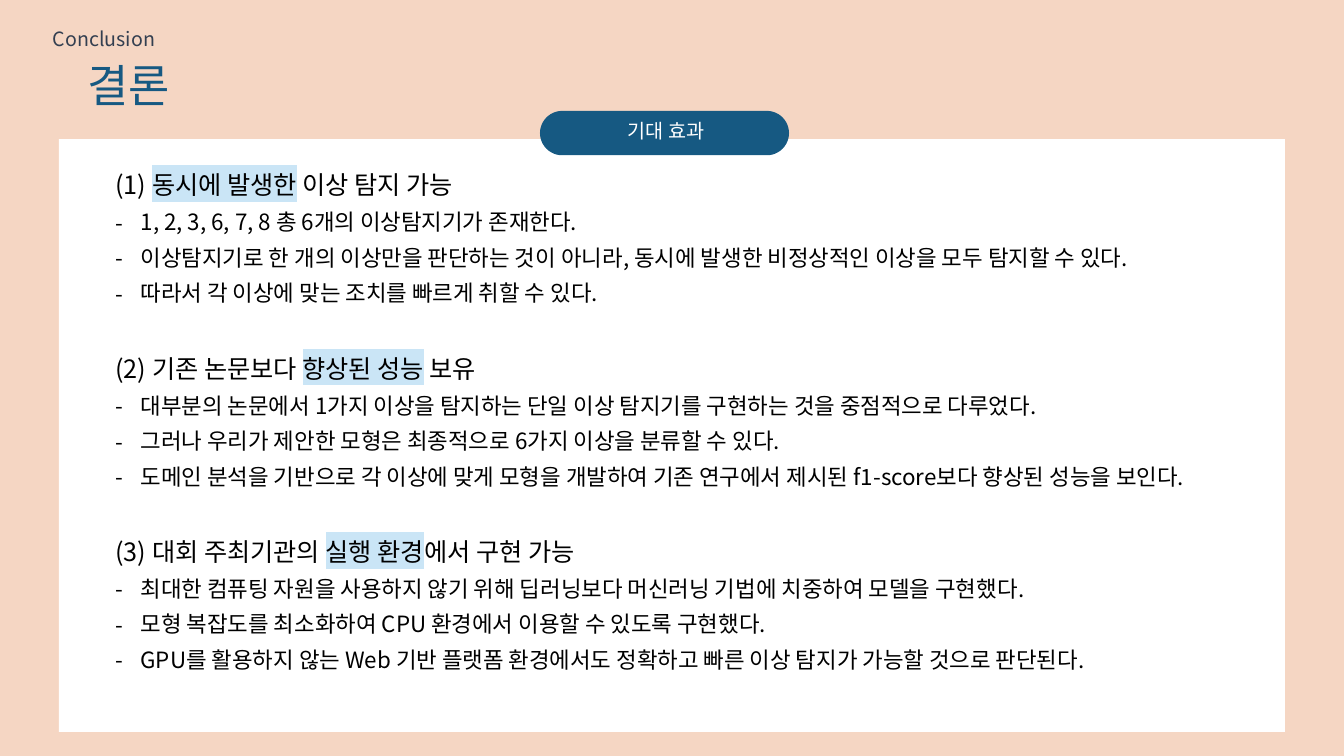
"""Build the conclusion slide with its three expected effects."""
from lxml.etree import SubElement
from pptx import Presentation
from pptx.dml.color import RGBColor
from pptx.enum.shapes import MSO_SHAPE
from pptx.enum.text import MSO_ANCHOR, MSO_AUTO_SIZE, PP_ALIGN
from pptx.oxml.ns import qn
from pptx.util import Inches, Pt

FONT = "Noto Sans CJK KR"
PEACH = RGBColor(0xF5, 0xD6, 0xC3)
WHITE = RGBColor(0xFF, 0xFF, 0xFF)
BLACK = RGBColor(0, 0, 0)
NAVY = RGBColor(0x16, 0x59, 0x82)
SLATE = RGBColor(0x33, 0x3F, 0x50)
SKY = RGBColor(0xCA, 0xE5, 0xF6)

TITLE = "결론"
SECTION = "Conclusion"
CAPTION = "기대 효과"
EFFECTS = [
    (("(1) ", "동시에 발생한", " 이상 탐지 가능"), [
        "1, 2, 3, 6, 7, 8 총 6개의 이상탐지기가 존재한다.",
        "이상탐지기로 한 개의 이상만을 판단하는 것이 아니라, 동시에 발생한 비정상적인 이상을 모두 탐지할 수 있다.",
        "따라서 각 이상에 맞는 조치를 빠르게 취할 수 있다.",
    ]),
    (("(2) 기존 논문보다 ", "향상된 성능", " 보유"), [
        "대부분의 논문에서 1가지 이상을 탐지하는 단일 이상 탐지기를 구현하는 것을 중점적으로 다루었다.",
        "그러나 우리가 제안한 모형은 최종적으로 6가지 이상을 분류할 수 있다.",
        "도메인 분석을 기반으로 각 이상에 맞게 모형을 개발하여 기존 연구에서 제시된 f1-score보다 향상된 성능을 보인다.",
    ]),
    (("(3) 대회 주최기관의 ", "실행 환경", "에서 구현 가능"), [
        "최대한 컴퓨팅 자원을 사용하지 않기 위해 딥러닝보다 머신러닝 기법에 치중하여 모델을 구현했다.",
        "모형 복잡도를 최소화하여 CPU 환경에서 이용할 수 있도록 구현했다.",
        "GPU를 활용하지 않는 Web 기반 플랫폼 환경에서도 정확하고 빠른 이상 탐지가 가능할 것으로 판단된다.",
    ]),
]

PLACES = {
    "backdrop": (0, 0, 100, 100),
    "panel": (4.38, 18.4, 91.22, 78.4),
    "title": (5.78, 4.93, 87.4, 13.47),
    "section": (3.08, 3.2, 9.3, 4.4),
    "pill": (40.18, 14.67, 18.53, 5.87),
    "caption": (42.03, 15.43, 15.08, 5.07),
    "effects": (7.84, 22.53, 84, 72.67),
}

deck = Presentation()
deck.slide_width, deck.slide_height = Inches(13.33), Inches(7.5)
page = deck.slides.add_slide(deck.slide_layouts[1])


def place(name):
    """Turn percent shares of the slide into lengths."""
    sides = (deck.slide_width, deck.slide_height) * 2
    return [int(side * share / 100) for side, share in zip(sides, PLACES[name])]


def move(holder, name):
    holder.left, holder.top, holder.width, holder.height = place(name)


def add_block(shapes, kind, name, colour):
    block = shapes.add_shape(kind, *place(name))
    block.shadow.inherit = False
    block.fill.solid()
    block.fill.fore_color.rgb = colour
    block.line.fill.background()
    return block


def write(para, text, size, colour, highlight=None):
    span = para.add_run()
    span.text = text
    span.font.size = Pt(size)
    span.font.color.rgb = colour
    span.font.name = FONT
    properties = span.font._element
    properties.set("kern", "0")
    SubElement(properties, qn("a:ea"), typeface=FONT)
    if highlight:
        mark = SubElement(properties, qn("a:highlight"))
        SubElement(mark, qn("a:srgbClr"), val=str(highlight))
        properties.find(qn("a:solidFill")).addnext(mark)


def write_label(box, text, size, colour, align, anchor):
    frame = box.text_frame
    frame.word_wrap = True
    frame.auto_size = MSO_AUTO_SIZE.NONE
    frame.vertical_anchor = anchor
    para = frame.paragraphs[0]
    para.alignment = align
    para.line_spacing = 0.9
    write(para, text, size, colour)


def set_bullet(para, mark):
    properties = para._p.get_or_add_pPr()
    indent = Inches(0.25) if mark else 0
    properties.set("marL", str(indent))
    properties.set("indent", str(-indent))
    if mark:
        tint = SubElement(properties, qn("a:buClr"))
        SubElement(tint, qn("a:srgbClr"), val=str(BLACK))
        SubElement(properties, qn("a:buFont"), typeface=FONT)
        SubElement(properties, qn("a:buChar"), char=mark)
    else:
        SubElement(properties, qn("a:buNone"))


def add_line(frame, mark, before):
    first = not frame.paragraphs[0].runs
    para = frame.paragraphs[0] if first else frame.add_paragraph()
    set_bullet(para, mark)
    para.line_spacing = 0.8
    para.space_before = Pt(0 if first else before)
    return para


def write_effects(frame):
    frame.word_wrap = True
    frame.auto_size = MSO_AUTO_SIZE.NONE
    frame.vertical_anchor = MSO_ANCHOR.TOP
    for pieces, points in EFFECTS:
        heading = add_line(frame, None, 37.5)
        for text, highlight in zip(pieces, (None, SKY, None)):
            write(heading, text, 18, BLACK, highlight)
        for point in points:
            write(add_line(frame, "-", 10), point, 16, BLACK)


def main():
    title, effects = page.placeholders
    for position, (name, colour) in enumerate((("backdrop", PEACH), ("panel", WHITE))):
        block = add_block(page.shapes, MSO_SHAPE.RECTANGLE, name, colour)
        page.shapes._spTree.insert(2 + position, block._element)

    move(title, "title")
    write_label(title, TITLE, 32, NAVY, PP_ALIGN.LEFT, MSO_ANCHOR.MIDDLE)
    section = page.shapes.add_textbox(*place("section"))
    write_label(section, SECTION, 14, SLATE, PP_ALIGN.CENTER, MSO_ANCHOR.TOP)

    badge = page.shapes.add_group_shape()
    pill = add_block(badge.shapes, MSO_SHAPE.ROUNDED_RECTANGLE, "pill", NAVY)
    pill.adjustments[0] = 0.5
    caption = add_block(badge.shapes, MSO_SHAPE.RECTANGLE, "caption", NAVY)
    write_label(caption, CAPTION, 14, WHITE, PP_ALIGN.CENTER, MSO_ANCHOR.TOP)

    move(effects, "effects")
    write_effects(effects.text_frame)
    deck.save("out.pptx")


if __name__ == "__main__":
    main()
